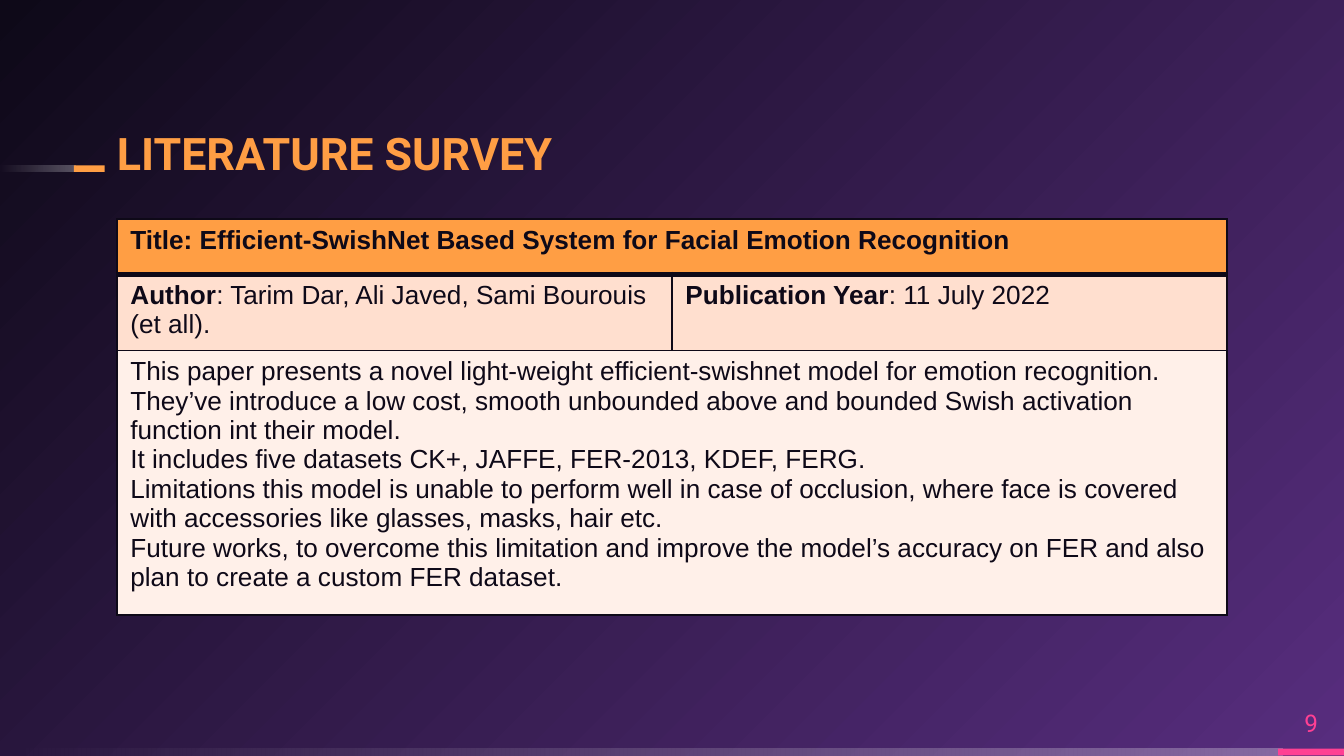
from pptx import Presentation
from pptx import util as u
from pptx.dml.color import RGBColor
from pptx.enum import shapes, text
from pptx.oxml import parse_xml
from pptx.oxml.ns import nsdecls, qn

ORANGE = RGBColor(0xFF, 0x9E, 0x44)
PINK = RGBColor(0xFF, 0x40, 0x93)
WHITE = RGBColor(0xFF, 0xFF, 0xFF)
PURPLE = RGBColor(0x57, 0x2D, 0x7E)
INK = RGBColor(0x0E, 0x09, 0x18)
PEACH = RGBColor(0xFF, 0xDF, 0xCF)
CREAM = RGBColor(0xFF, 0xF0, 0xE9)

SUMMARY = [
    "This paper presents a novel light-weight efficient-swishnet model for emotion recognition.",
    "They’ve introduce a low cost, smooth unbounded above and bounded Swish activation "
    "function int their model.",
    "It includes five datasets CK+, JAFFE, FER-2013, KDEF, FERG.",
    "Limitations this model is unable to perform well in case of occlusion, where face is "
    "covered with accessories like glasses, masks, hair etc.",
    "Future works, to overcome this limitation and improve the model’s accuracy on FER and "
    "also plan to create a custom FER dataset.",
]


class SurveyPage:
    heading_font = "Roboto"
    body_font = "Arial"

    def __init__(self, deck):
        self.page = deck.slides.add_slide(deck.slide_layouts[6])

    def two_stops(self, fill, first, last):
        fill.gradient()
        for stop, color, position in zip(fill.gradient_stops, (first, last), (0, 1)):
            stop.color.rgb = color
            stop.position = position

    def background(self, focus, edge):
        """Radial gradient that spreads from the bottom right corner."""
        self.two_stops(self.page.background.fill, focus, edge)
        line = next(self.page._element.iter(qn("a:lin")))
        line.getparent().replace(line, parse_xml(
            f'<a:path {nsdecls("a")} path="circle">'
            '<a:fillToRect l="100000" t="100000"/></a:path>'))

    def bar(self, left, top, width, color=None):
        """Thin bar; without a colour it fades from white to clear, right to left."""
        bar = self.page.shapes.add_shape(
            shapes.MSO_SHAPE.RECTANGLE, u.Inches(left), u.Inches(top),
            u.Inches(width), u.Inches(0.05))
        bar.shadow.inherit = False
        bar.line.fill.background()
        if color is not None:
            bar.fill.solid()
            bar.fill.fore_color.rgb = color
            return
        self.two_stops(bar.fill, WHITE, WHITE)
        bar.fill.gradient_angle = 180
        for tint, alpha in zip(bar._element.spPr.iter(qn("a:srgbClr")), (29000, 0)):
            tint.append(parse_xml(f'<a:alpha {nsdecls("a")} val="{alpha}"/>'))

    def span(self, para, words, size, font, color, bold=False):
        span = para.add_run()
        span.text = words
        span.font.size = u.Pt(size)
        span.font.name = font
        span.font.color.rgb = color
        span.font.bold = bold

    def label(self, place, words, size, color, anchor, align, bold=False, spacing=1.0):
        box = self.page.shapes.add_textbox(*map(u.Inches, place))
        frame = box.text_frame
        frame.word_wrap = True
        frame.vertical_anchor = anchor
        frame.margin_left = frame.margin_right = frame.margin_top = frame.margin_bottom = 0
        para = frame.paragraphs[0]
        para.alignment = align
        para.line_spacing = spacing
        self.span(para, words, size, self.heading_font, color, bold)

    def table(self, left, top, widths, heights):
        """Rows get minimum heights and grow with their text."""
        table = self.page.shapes.add_table(
            len(heights), len(widths), u.Inches(left), u.Inches(top),
            u.Inches(sum(widths)), u.Inches(sum(heights))).table
        for column, width in zip(table.columns, widths):
            column.width = u.Inches(width)
        for row, height in zip(table.rows, heights):
            row.height = u.Inches(height)
        return table

    def cell(self, cell, paragraphs, color):
        """Each paragraph is a list of (words, bold) pairs."""
        cell.fill.solid()
        cell.fill.fore_color.rgb = color
        frame = cell.text_frame
        for number, spans in enumerate(paragraphs):
            para = frame.add_paragraph() if number else frame.paragraphs[0]
            for words, bold in spans:
                self.span(para, words, 14, self.body_font, INK, bold)

    def borders(self, cell, **points):
        """Draw every side 1 pt wide unless a width is given for it."""
        properties = cell._tc.get_or_add_tcPr()
        for index, side in enumerate("LRTB"):
            properties.insert(index, parse_xml(
                f'<a:ln{side} {nsdecls("a")} w="{u.Pt(points.get(side, 1))}"><a:solidFill>'
                f'<a:srgbClr val="{INK}"/></a:solidFill></a:ln{side}>'))


def main():
    deck = Presentation()
    deck.slide_width = u.Inches(10)
    deck.slide_height = deck.slide_width * 9 // 16
    survey = SurveyPage(deck)
    survey.background(PURPLE, INK)

    survey.bar(0, 5.57, 9.54)
    survey.bar(9.51, 5.57, 0.49, PINK)
    survey.bar(0, 1.23, 0.56)
    survey.bar(0.55, 1.23, 0.23, ORANGE)

    survey.label((0.87, 0.91, 5.8, 0.43), "LITERATURE SURVEY", 24, ORANGE,
                 text.MSO_ANCHOR.BOTTOM, text.PP_ALIGN.LEFT, bold=True, spacing=0.9)
    survey.label((9.51, 5.19, 0.49, 0.38), "9", 13, PINK,
                 text.MSO_ANCHOR.MIDDLE, text.PP_ALIGN.CENTER)

    table = survey.table(0.87, 1.63, [4.13, 4.13], [0.41, 0.3, 0.3])
    for row in (0, 2):
        table.cell(row, 0).merge(table.cell(row, 1))
    title = "Title: Efficient-SwishNet Based System for Facial Emotion Recognition"
    survey.cell(table.cell(0, 0), [[(title, True)]], ORANGE)
    survey.cell(table.cell(1, 0), [[
        ("Author", True), (": Tarim Dar, Ali Javed, Sami Bourouis (et all).", False)]], PEACH)
    survey.cell(table.cell(1, 1), [[
        ("Publication Year", True), (": 11 July 2022", False)]], PEACH)
    survey.cell(table.cell(2, 0), [[(line, False)] for line in SUMMARY], CREAM)
    for column in (0, 1):
        survey.borders(table.cell(0, column), B=3)
        survey.borders(table.cell(1, column), T=3)
        survey.borders(table.cell(2, column))

    deck.save("out.pptx")


if __name__ == "__main__":
    main()
